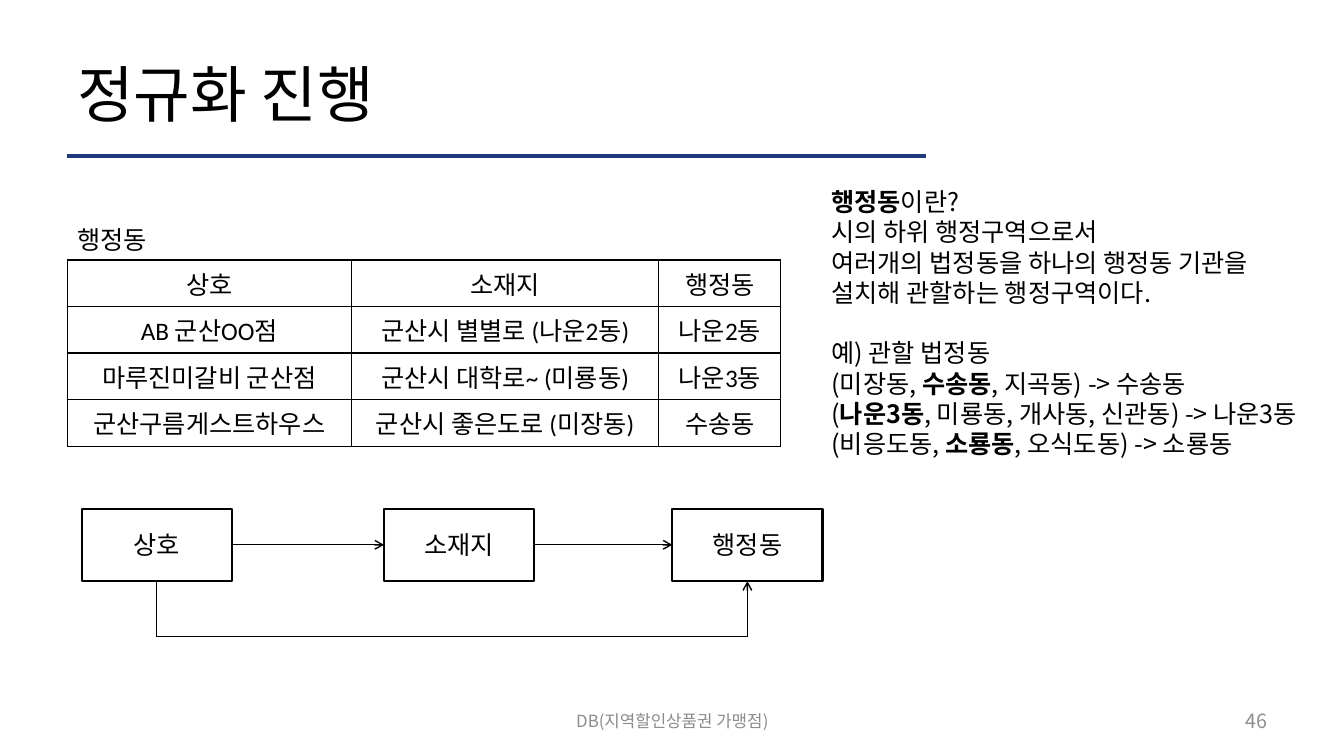
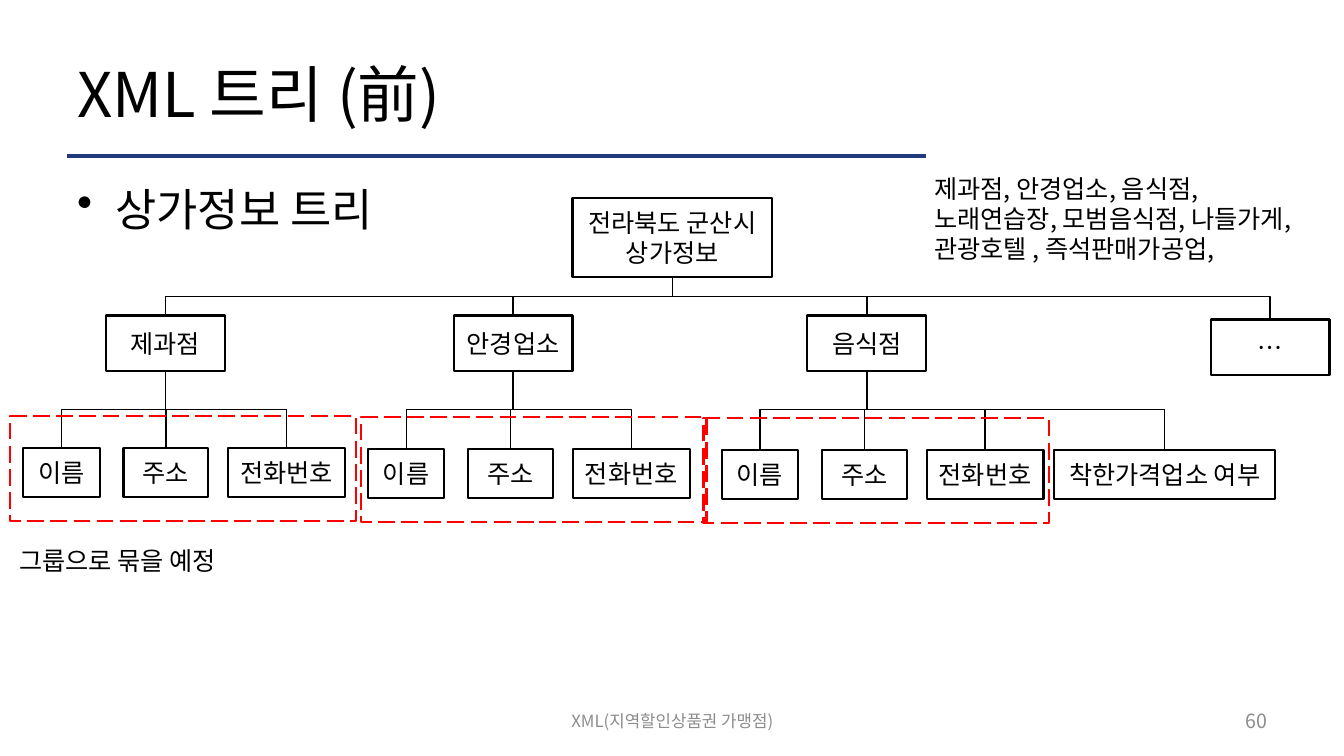
from dataclasses import dataclass

from lxml import etree
from pptx import Presentation
from pptx.dml.color import RGBColor
from pptx.enum.dml import MSO_LINE
from pptx.enum.shapes import MSO_CONNECTOR as Connector, MSO_SHAPE as Preset
from pptx.enum.text import MSO_ANCHOR as Anchor, PP_ALIGN as Align
from pptx.oxml.ns import qn
from pptx.util import Inches, Pt

COLUMNS, ROWS = 80, 45
CELL = Inches(1) / 6
FONT = "Noto Sans CJK KR"
COLORS = {"ink": "000000", "paper": "FFFFFF", "rule": "203A7B",
          "footer": "8C8C8C", "group": "FF0000"}
BOTTOM, TOP, LEFT, RIGHT = 2, 0, 1, 3  # connection sites of a rectangle


@dataclass(frozen=True)
class Area:
    """A rectangle in grid columns and rows."""
    left: float
    top: float
    width: float
    height: float

    def lengths(self) -> list[int]:
        return [grid(value) for value in (self.left, self.top, self.width, self.height)]


@dataclass(frozen=True)
class Branch:
    name: str
    left: float
    group_left: float
    group_top: float
    leaf_left: float
    extra: str = ""


@dataclass(frozen=True)
class Leaf:
    name: str
    offset: float
    width: float


TITLE = Area(4, 1.8, 72, 7.5)
BODY = Area(4, 10.5, 72, 29.7)
FOOTER = Area(27.36, 41.7, 25.32, 2.4)
NUMBER = Area(57.36, 41.7, 18.66, 2.4)

TABLE_COLUMNS = (16.92, 18.3, 7.26)
TABLE_ROW = 2.77
TABLE = (
    ("상호", "소재지", "행정동"),
    ("AB 군산OO점", "군산시 별별로 (나운2동)", "나운2동"),
    ("마루진미갈비 군산점", "군산시 대학로~ (미룡동)", "나운3동"),
    ("군산구름게스트하우스", "군산시 좋은도로 (미장동)", "수송동"),
)
# Every second piece of a line, split at "*", is bold.
EXPLANATION = (
    "*행정동*이란?",
    "시의 하위 행정구역으로서",
    "여러개의 법정동을 하나의 행정동 기관을",
    "설치해 관할하는 행정구역이다.",
    "예) 관할 법정동",
    "(미장동, *수송동*, 지곡동) -> 수송동",
    "(*나운3동*, 미룡동, 개사동, 신관동) -> 나운3동",
    "(비응도동, *소룡동*, 오식도동) -> 소룡동",
)
EXAMPLE_LINE = 4
FIELDS = (("상호", 4.86), ("소재지", 22.86), ("행정동", 40.02))

BRANCHES = (
    Branch("제과점", 6.3, 0.6, 24.78, 1.38),
    Branch("안경업소", 27, 21.48, 24.84, 21.9),
    Branch("음식점", 48.06, 41.88, 24.9, 42.96, "착한가격업소 여부"),
)
LEAVES = (Leaf("이름", 0, 4.56), Leaf("주소", 5.97, 5.04), Leaf("전화번호", 12.2, 6.96))
EXTRA_OFFSET, EXTRA_WIDTH = 19.8, 13.14
BRANCH_TOP, LEAF_DROP = 18.78, 1.88


def grid(value: float) -> int:
    return round(value * CELL)


def rgb(name: str) -> RGBColor:
    return RGBColor.from_string(COLORS[name])


def write(frame, lines, *, size=18, color="ink", font=FONT, align=Align.LEFT,
          anchor=Anchor.TOP, gaps=None, bullet=False) -> None:
    """Fill a text frame; gaps maps a line index to the points before it."""
    frame.word_wrap = True
    frame.vertical_anchor = anchor
    for index, line in enumerate(lines):
        paragraph = frame.paragraphs[0] if index == 0 else frame.add_paragraph()
        paragraph.alignment = align
        if gaps and index in gaps:
            paragraph.space_before = Pt(gaps[index])
        if bullet:
            properties = paragraph._p.get_or_add_pPr()
            properties.set("marL", str(Inches(0.38)))
            properties.set("indent", str(-Inches(0.38)))
            etree.SubElement(properties, qn("a:buChar")).set("char", "•")
        for piece_index, piece in enumerate(line.split("*")):
            if not piece:
                continue
            run = paragraph.add_run()
            run.text = piece
            run.font.size = Pt(size)
            run.font.bold = piece_index % 2 == 1
            run.font.color.rgb = rgb(color)
            run.font.name = font
            etree.SubElement(run._r.get_or_add_rPr(), qn("a:ea")).set("typeface", FONT)


def add_text(slide, area: Area, *lines: str, **text_format) -> None:
    box = slide.shapes.add_textbox(*area.lengths())
    write(box.text_frame, lines, **text_format)


def add_box(slide, area: Area, *lines: str):
    shape = slide.shapes.add_shape(Preset.RECTANGLE, *area.lengths())
    shape.shadow.inherit = False
    shape.fill.solid()
    shape.fill.fore_color.rgb = rgb("paper")
    shape.line.color.rgb = rgb("ink")
    shape.line.width = Pt(1.5)
    write(shape.text_frame, lines, align=Align.CENTER, anchor=Anchor.MIDDLE)
    return shape


def add_group_frame(slide, area: Area) -> None:
    shape = slide.shapes.add_shape(Preset.RECTANGLE, *area.lengths())
    shape.shadow.inherit = False
    shape.fill.background()
    shape.line.color.rgb = rgb("group")
    shape.line.width = Pt(1.5)
    shape.line.dash_style = MSO_LINE.LONG_DASH


def style_line(connector, *, color="ink", width=1.0, arrow=False) -> None:
    connector.line.color.rgb = rgb(color)
    connector.line.width = Pt(width)
    if arrow:
        line = connector.line._get_or_add_ln()
        etree.SubElement(line, qn("a:tailEnd")).set("type", "arrow")
    etree.SubElement(connector._element.spPr, qn("a:effectLst"))


def link(slide, start, start_site: int, end, end_site: int, kind=Connector.STRAIGHT, **line_format):
    connector = slide.shapes.add_connector(kind, 0, 0, 0, 0)
    connector.begin_connect(start, start_site)
    connector.end_connect(end, end_site)
    style_line(connector, **line_format)
    return connector


def link_down(slide, start, end, drop: float, end_site=TOP, **line_format) -> None:
    """Leave the bottom of start, turn after drop rows, and reach end vertically."""
    connector = link(slide, start, BOTTOM, end, end_site, Connector.ELBOW, **line_format)
    begin_x, end_x = connector.begin_x, connector.end_x
    begin_y, end_y = connector.begin_y, connector.end_y
    across, down = abs(end_x - begin_x), max(abs(end_y - begin_y), Inches(0.01))
    transform = connector._element.spPr.find(qn("a:xfrm"))
    for flip in ("flipH", "flipV"):
        transform.attrib.pop(flip, None)
    transform.set("rot", str(90 * 60000))
    if end_x > begin_x:
        transform.set("flipV", "1")
    connector.left = (begin_x + end_x - down) // 2
    connector.top = (begin_y + end_y - across) // 2
    connector.width, connector.height = down, across
    adjustments = connector._element.spPr.find(qn("a:prstGeom")).get_or_add_avLst()
    guide = etree.SubElement(adjustments, qn("a:gd"))
    guide.set("name", "adj1")
    guide.set("fmla", f"val {round(grid(drop) / down * 100000)}")


def add_page(presentation, title: str, footer: str, number: int):
    slide = presentation.slides.add_slide(presentation.slide_layouts[6])
    rule = slide.shapes.add_connector(
        Connector.STRAIGHT, grid(4), grid(9.3), grid(55.14), grid(9.3))
    style_line(rule, color="rule", width=3)
    add_text(slide, TITLE, title, size=44, anchor=Anchor.MIDDLE)
    add_text(slide, FOOTER, footer, size=12, color="footer",
             align=Align.CENTER, anchor=Anchor.MIDDLE)
    add_text(slide, NUMBER, str(number), size=14, color="footer",
             align=Align.RIGHT, anchor=Anchor.MIDDLE)
    return slide


def border(cell) -> None:
    properties = cell._tc.get_or_add_tcPr()
    for side in ("lnL", "lnR", "lnT", "lnB"):
        line = etree.SubElement(properties, qn(f"a:{side}"))
        line.set("w", str(Pt(1)))
        fill = etree.SubElement(line, qn("a:solidFill"))
        etree.SubElement(fill, qn("a:srgbClr")).set("val", COLORS["ink"])


def add_shop_table(slide) -> None:
    area = Area(4, 15.48, sum(TABLE_COLUMNS), TABLE_ROW * len(TABLE))
    table = slide.shapes.add_table(len(TABLE), len(TABLE_COLUMNS), *area.lengths()).table
    table.first_row = table.horz_banding = False
    for column, width in zip(table.columns, TABLE_COLUMNS):
        column.width = grid(width)
    for row, texts in zip(table.rows, TABLE):
        row.height = grid(TABLE_ROW)
        for cell, text in zip(row.cells, texts):
            border(cell)
            cell.fill.solid()
            cell.fill.fore_color.rgb = rgb("paper")
            write(cell.text_frame, [text], font="Calibri", align=Align.CENTER)
            cell.vertical_anchor = Anchor.MIDDLE


def build_normalization(presentation) -> None:
    slide = add_page(presentation, "정규화 진행", "DB(지역할인상품권 가맹점)", 46)
    add_shop_table(slide)
    add_text(slide, Area(4, 13.08, 12, 2.4), "행정동")
    add_text(slide, Area(48.9, 10.8, 30.24, 16.74), *EXPLANATION, gaps={EXAMPLE_LINE: 21.6})
    boxes = [add_box(slide, Area(left, 30.3, 8.94, 4.26), name) for name, left in FIELDS]
    for start, end in zip(boxes, boxes[1:]):
        link(slide, start, RIGHT, end, LEFT, arrow=True)
    link_down(slide, boxes[0], boxes[-1], 3.4, end_site=BOTTOM, arrow=True)


def add_branch(slide, root, branch: Branch) -> None:
    parent = add_box(slide, Area(branch.left, BRANCH_TOP, 7.08, 3.3), branch.name)
    link_down(slide, root, parent, 1.14)
    leaves = list(LEAVES)
    if branch.extra:
        leaves.append(Leaf(branch.extra, EXTRA_OFFSET, EXTRA_WIDTH))
    for leaf in leaves:
        area = Area(branch.leaf_left + leaf.offset, branch.group_top + LEAF_DROP, leaf.width, 2.91)
        link_down(slide, parent, add_box(slide, area, leaf.name), 2.3)
    add_group_frame(slide, Area(branch.group_left, branch.group_top, 20.58, 6.24))


def build_tree(presentation) -> None:
    slide = add_page(presentation, "XML 트리 (前)", "XML(지역할인상품권 가맹점)", 60)
    add_text(slide, BODY, "상가정보 트리", size=32, bullet=True)
    root = add_box(slide, Area(34.08, 11.76, 11.88, 4.74), "전라북도 군산시", "상가정보")
    for branch in BRANCHES:
        add_branch(slide, root, branch)
    others = add_box(slide, Area(72.06, 19.02, 7.08, 3.3), "…")
    link_down(slide, root, others, 1.14)
    add_text(slide, Area(0.54, 32.16, 40, 2.4), "그룹으로 묶을 예정")
    add_text(slide, Area(55.02, 10.02, 22.8, 6.06), "제과점, 안경업소, 음식점,",
             "노래연습장, 모범음식점, 나들가게,", "관광호텔 , 즉석판매가공업,")


def main() -> None:
    presentation = Presentation()
    presentation.slide_width = grid(COLUMNS)
    presentation.slide_height = grid(ROWS)
    build_normalization(presentation)
    build_tree(presentation)
    presentation.save("out.pptx")


if __name__ == "__main__":
    main()
